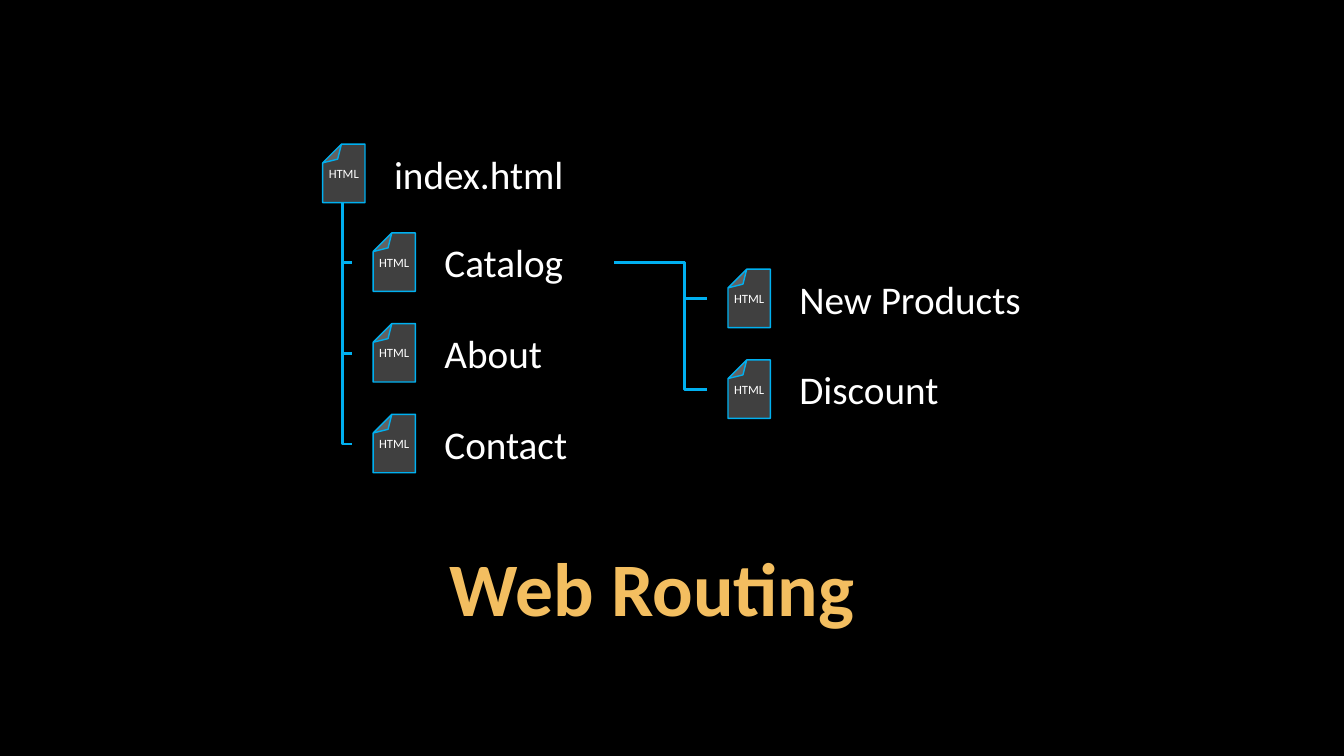
from dataclasses import dataclass

from lxml.etree import SubElement
from pptx import Presentation
from pptx.dml.color import RGBColor
from pptx.enum.shapes import MSO_CONNECTOR, MSO_SHAPE
from pptx.enum.text import MSO_ANCHOR, MSO_AUTO_SIZE, PP_ALIGN
from pptx.oxml.ns import qn
from pptx.util import Inches, Pt


@dataclass(frozen=True)
class Theme:
    font: str = "Calibri"
    background: RGBColor = RGBColor(0x00, 0x00, 0x00)
    text: RGBColor = RGBColor(0xFF, 0xFF, 0xFF)
    title: RGBColor = RGBColor(0xF3, 0xBE, 0x60)
    accent: RGBColor = RGBColor(0x00, 0xB0, 0xF0)
    title_size: int = 54
    label_size: int = 28
    icon_size: int = 9


THEME = Theme()

# Page icon geometry, in inches
ICON_WIDTH, ICON_HEIGHT = 0.42, 0.58
TAG_WIDTH, TAG_HEIGHT = 0.83, 0.25
LABEL_OFFSET, LABEL_HEIGHT = 0.61, 0.57
ROW_PITCH = 0.9

# Site tree: name, icon left, icon top, label width
HOME = ("index.html", 3.2, 1.43, 2.5)
CATALOG = ("Catalog", 3.7, 2.31, 1.77)
SECTIONS = [
    CATALOG,
    ("About", 3.7, 2.31 + ROW_PITCH, 2.5),
    ("Contact", 3.7, 2.31 + 2 * ROW_PITCH, 2.5),
]
PRODUCTS = [
    ("New Products", 7.22, 2.67, 2.5),
    ("Discount", 7.22, 2.67 + ROW_PITCH, 2.5),
]


def set_attributes(target, values):
    for name, value in values.items():
        setattr(target, name, value)


def add_guide(shape, name, value):
    """Set a preset adjustment, in thousandths of a percent."""
    geometry = shape._element.spPr.find(qn("a:prstGeom"))
    guides = geometry.find(qn("a:avLst"))
    if guides is None:
        guides = SubElement(geometry, qn("a:avLst"))
    SubElement(guides, qn("a:gd"), name=name, fmla=f"val {value}")


def add_text(shapes, text, place, size, color=THEME.text, bold=False,
             frame_format=None, para_format=None):
    box = shapes.add_textbox(*map(Inches, place))
    frame = box.text_frame
    set_attributes(frame, {"word_wrap": True,
                           "auto_size": MSO_AUTO_SIZE.SHAPE_TO_FIT_TEXT,
                           **(frame_format or {})})
    para = frame.paragraphs[0]
    set_attributes(para, para_format or {})
    span = para.add_run()
    span.text = text
    set_attributes(span.font, {"name": THEME.font, "size": Pt(size), "bold": bold})
    span.font.color.rgb = color


def add_icon(shapes, left, top):
    icon = shapes.add_shape(MSO_SHAPE.FOLDED_CORNER, Inches(left), Inches(top),
                            Inches(ICON_WIDTH), Inches(ICON_HEIGHT))
    icon.rotation = 180
    add_guide(icon, "adj", 44200)
    icon.shadow.inherit = False
    icon.fill.solid()
    icon.fill.fore_color.rgb = THEME.text
    # Fill at 25 percent opacity
    color = icon._element.spPr.find(qn("a:solidFill"))[0]
    SubElement(color, qn("a:alpha"), val="25000")
    icon.line.color.rgb = THEME.accent
    icon.line.width = Pt(1)


def add_page(slide, name, left, top, label_width):
    """Group a page icon, its HTML tag and its label."""
    shapes = slide.shapes.add_group_shape().shapes
    add_icon(shapes, left, top)
    tag_left = left + (ICON_WIDTH - TAG_WIDTH) / 2
    add_text(shapes, "HTML", (tag_left, top + 0.165, TAG_WIDTH, TAG_HEIGHT),
             THEME.icon_size, para_format={"alignment": PP_ALIGN.CENTER})
    add_text(shapes, name, (left + LABEL_OFFSET, top + 0.01, label_width, LABEL_HEIGHT),
             THEME.label_size)


def entry_point(page):
    """Point just left of a page icon, at its middle."""
    name, left, top, label_width = page
    return left + (ICON_WIDTH - TAG_WIDTH) / 2, top + 0.295


def add_elbow(slide, start, end):
    line = slide.shapes.add_connector(MSO_CONNECTOR.ELBOW,
                                      *map(Inches, (*start, *end)))
    line.line.color.rgb = THEME.accent
    line.line.width = Pt(2)
    SubElement(line._element.spPr, qn("a:effectLst"))
    return line


def add_side_elbow(slide, start, end):
    """Leave sideways, turn down, then enter sideways."""
    add_guide(add_elbow(slide, start, end), "adj1", 75400)


def add_down_elbow(slide, start, end):
    """Leave downwards and turn once to the right."""
    line = add_elbow(slide, start, end)
    across, down = end[0] - start[0], end[1] - start[1]
    middle_x, middle_y = (start[0] + end[0]) / 2, (start[1] + end[1]) / 2
    set_attributes(line, {"left": Inches(middle_x - down / 2),
                          "top": Inches(middle_y - across / 2),
                          "width": Inches(down), "height": Inches(across)})
    properties = line._element.spPr
    properties.find(qn("a:prstGeom")).set("prst", "bentConnector2")
    frame = properties.find(qn("a:xfrm"))
    frame.set("rot", str(270 * 60000))
    frame.set("flipH", "1")


def main():
    deck = Presentation()
    set_attributes(deck, {"slide_width": Inches(13.33), "slide_height": Inches(7.5)})
    slide = deck.slides.add_slide(deck.slide_layouts[6])
    slide.background.fill.solid()
    slide.background.fill.fore_color.rgb = THEME.background

    # Title
    margins = {f"margin_{side}": Inches(0.04)
               for side in ("left", "top", "right", "bottom")}
    add_text(slide.shapes, "Web Routing", (1.58, 5.42, 9.78, 0.9),
             THEME.title_size, THEME.title, True,
             {"vertical_anchor": MSO_ANCHOR.BOTTOM, **margins},
             {"alignment": PP_ALIGN.CENTER, "line_spacing": 0.9})

    # Pages
    for page in [HOME, *SECTIONS, *PRODUCTS]:
        add_page(slide, *page)

    # Routes from the home page to its sections
    home_bottom = (HOME[1] + ICON_WIDTH / 2 - 0.01, HOME[2] + ICON_HEIGHT)
    for page in SECTIONS:
        add_down_elbow(slide, home_bottom, entry_point(page))

    # Routes from the catalog to its products
    catalog_right = (CATALOG[1] + LABEL_OFFSET + CATALOG[3] + 0.01,
                     entry_point(CATALOG)[1])
    for page in reversed(PRODUCTS):
        add_side_elbow(slide, catalog_right, entry_point(page))

    deck.save("out.pptx")


if __name__ == "__main__":
    main()
